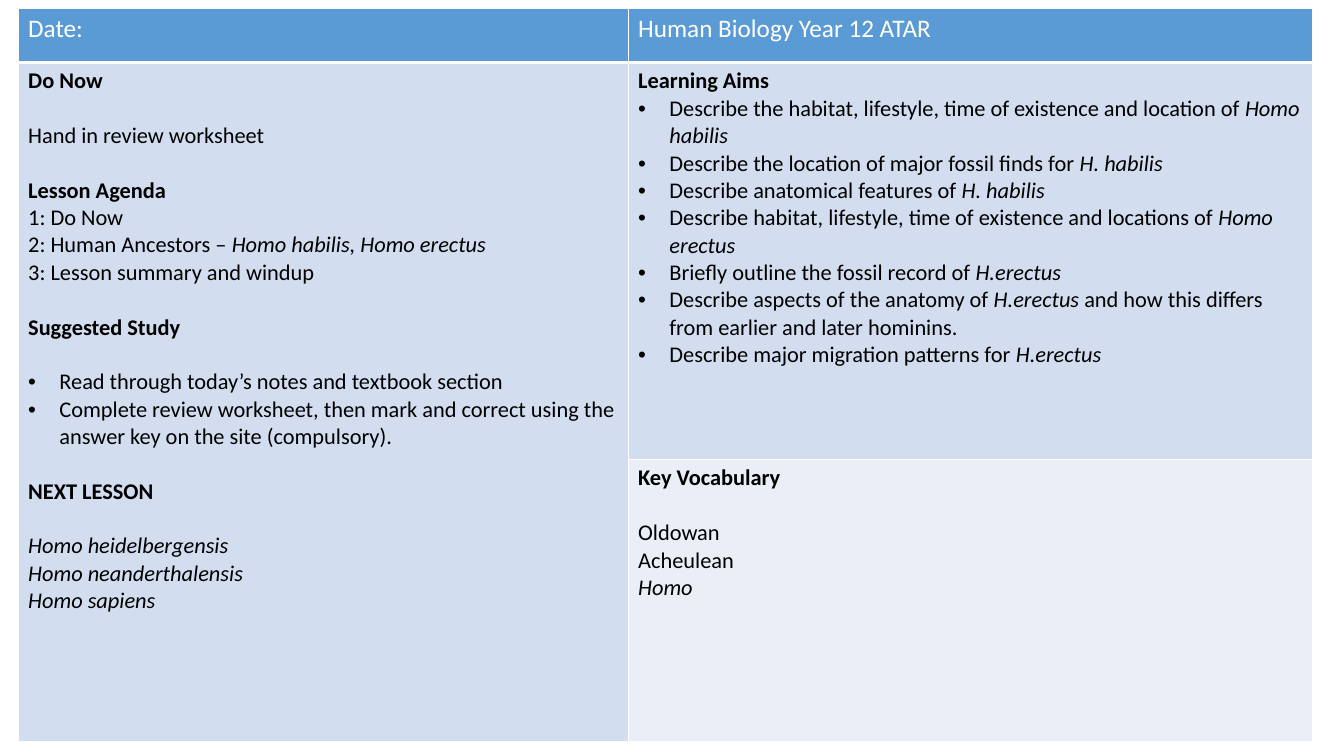
from lxml import etree
from pptx import Presentation
from pptx.dml.color import RGBColor
from pptx.oxml.ns import qn
from pptx.util import Inches, Pt

COLORS = {
    "header": "5B9BD5",
    "band": "D2DEEF",
    "pale": "EAEFF7",
    "white": "FFFFFF",
    "black": "000000",
}
BLANK_LINE = Pt(19.5)

date = [("title", "Date:")]
course = [("title", "Human Biology Year 12 ATAR")]
lesson_plan = [
    ("heading", "Do Now"),
    ("text after gap", "Hand in review worksheet"),
    ("heading after gap", "Lesson Agenda"),
    ("text", "1: Do Now"),
    ("text", "2: Human Ancestors – *Homo habilis, Homo erectus*"),
    ("text", "3: Lesson summary and windup"),
    ("heading after gap", "Suggested Study"),
    ("bullet after gap", "Read through today’s notes and textbook section"),
    ("bullet", "Complete review worksheet, then mark and correct using the answer key on the site (compulsory)."),
    ("heading after gap", "NEXT LESSON"),
    ("text after gap", "*Homo heidelbergensis*"),
    ("text", "*Homo neanderthalensis*"),
    ("text", "*Homo sapiens*"),
]
learning_aims = [
    ("heading", "Learning Aims"),
    ("bullet", "Describe the habitat, lifestyle, time of existence and location of *Homo habilis*"),
    ("bullet", "Describe the location of major fossil finds for *H. habilis*"),
    ("bullet", "Describe anatomical features of *H. habilis*"),
    ("bullet", "Describe habitat, lifestyle, time of existence and locations of *Homo erectus*"),
    ("bullet", "Briefly outline the fossil record of *H.erectus*"),
    ("bullet", "Describe aspects of the anatomy of *H.erectus* and how this differs from earlier and later hominins."),
    ("bullet", "Describe major migration patterns for *H.erectus*"),
]
vocabulary = [
    ("heading", "Key Vocabulary"),
    ("text after gap", "Oldowan"),
    ("text", "Acheulean"),
    ("text", "*Homo*"),
]


def add_border(cell, side, points):
    line = etree.SubElement(cell._tc.get_or_add_tcPr(), qn(f"a:ln{side}"), w=str(Pt(points)))
    fill = etree.SubElement(line, qn("a:solidFill"))
    etree.SubElement(fill, qn("a:srgbClr"), val=COLORS["white"])


def write_lines(cell, lines):
    frame = cell.text_frame
    for index, (style, text) in enumerate(lines):
        paragraph = frame.paragraphs[0] if index == 0 else frame.add_paragraph()
        if "gap" in style:
            paragraph.space_before = BLANK_LINE
        if "bullet" in style:
            props = paragraph._p.get_or_add_pPr()
            props.set("marL", str(Inches(0.31)))
            props.set("indent", str(Inches(-0.31)))
            etree.SubElement(props, qn("a:buFont"), typeface="Arial")
            etree.SubElement(props, qn("a:buChar"), char="•")
        for part, words in enumerate(text.split("*")):
            if not words:
                continue
            run = paragraph.add_run()
            run.text = words
            run.font.name = "Calibri"
            run.font.size = Pt(18 if style == "title" else 16)
            run.font.bold = "heading" in style
            run.font.italic = part % 2 == 1
            color = COLORS["white" if style == "title" else "black"]
            run.font.color.rgb = RGBColor.from_string(color)


prs = Presentation()
prs.slide_width, prs.slide_height = Inches(13.33), Inches(7.5)
slide = prs.slides.add_slide(prs.slide_layouts[6])

planner = slide.shapes.add_table(
    3, 2, Inches(0.18), Inches(0.08), Inches(12.84), Inches(7.28)
).table
for column, width in zip(planner.columns, (6.05, 6.79)):
    column.width = Inches(width)
for row, height in zip(planner.rows, (0.54, 3.94, 2.8)):
    row.height = Inches(height)
planner.cell(1, 0).merge(planner.cell(2, 0))

contents = [
    [(date, "header"), (course, "header")],
    [(lesson_plan, "band"), (learning_aims, "band")],
    [([], "band"), (vocabulary, "pale")],
]
for r, row in enumerate(contents):
    for c, (lines, color) in enumerate(row):
        cell = planner.cell(r, c)
        for side in "LRTB":
            if (r, side) != (1, "T"):
                add_border(cell, side, 3 if (r, side) == (0, "B") else 1)
        cell.fill.solid()
        cell.fill.fore_color.rgb = RGBColor.from_string(COLORS[color])
        write_lines(cell, lines)

prs.save("out.pptx")
